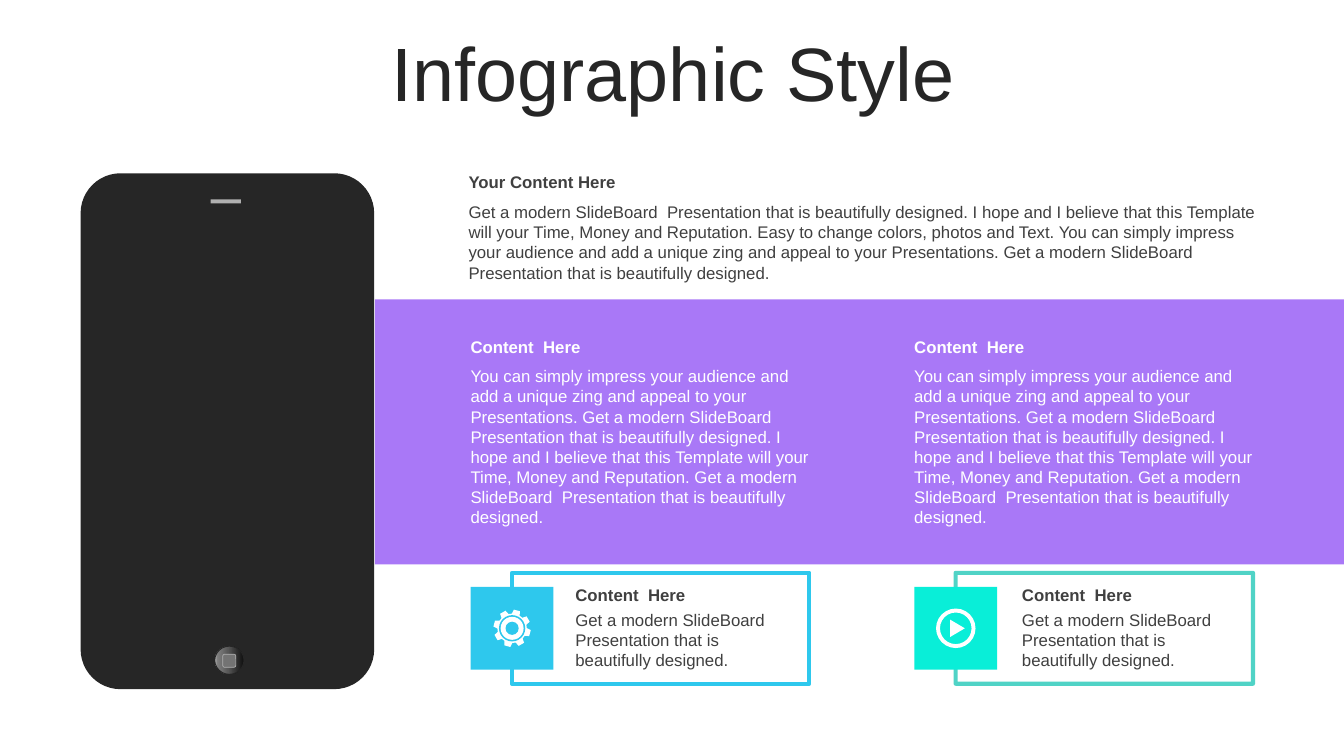
from math import cos, radians, sin
from lxml import etree
from pptx import Presentation
from pptx.dml.color import RGBColor
from pptx.enum.shapes import MSO_SHAPE as Shape
from pptx.enum.text import MSO_ANCHOR as Anchor, MSO_AUTO_SIZE as Fit, PP_ALIGN as Align
from pptx.oxml import parse_xml
from pptx.oxml.ns import nsdecls, qn
from pptx.util import Pt

WHITE, DARK, GRAY = "FFFFFF", "262626", "404040"
BLUE, TEAL = "2EC8ED", "09EED8"
INTRO = ("Get a modern SlideBoard  Presentation that is beautifully designed. "
         "I hope and I believe that this Template will your Time, Money and Reputation. "
         "Easy to change colors, photos and Text. You can simply impress your audience "
         "and add a unique zing and appeal to your Presentations. "
         "Get a modern SlideBoard  Presentation that is beautifully designed.")
PANEL = ("You can simply impress your audience and add a unique zing and appeal to your "
         "Presentations. Get a modern SlideBoard  Presentation that is beautifully designed. "
         "I hope and I believe that this Template will your Time, Money and Reputation. "
         "Get a modern SlideBoard  Presentation that is beautifully designed.")
CARD = "Get a modern SlideBoard  Presentation that is beautifully designed."


def paint(fmt, color, alpha=100):
    """Give a fill a solid colour with an opacity in percent."""
    fmt.solid()
    fmt.fore_color.rgb = RGBColor.from_string(color)
    if alpha < 100:
        clr = fmt._xPr.find(qn("a:solidFill"))[0]
        etree.SubElement(clr, qn("a:alpha")).set("val", str(alpha * 1000))


def style(sp, fill=None, line=None, width=0, alpha=100):
    """Set the fill and outline of a shape, without a shadow."""
    sp.shadow.inherit = False
    if fill:
        paint(sp.fill, fill, alpha)
    else:
        sp.fill.background()
    if line:
        paint(sp.line.fill, line, alpha)
        sp.line.width = Pt(width)
    else:
        sp.line.fill.background()
    return sp


def add(s, kind, x, y, w, h, **look):
    """Add a styled preset shape."""
    return style(s.shapes.add_shape(kind, Pt(x), Pt(y), Pt(w), Pt(h)), **look)


def write(tf, text, size=12, color=GRAY, bold=False, align=Align.LEFT, spacing=1.0):
    """Put one formatted paragraph in a text frame."""
    p = tf.paragraphs[0]
    p.alignment, p.line_spacing, p.space_before = align, spacing, Pt(0)
    r = p.add_run()
    r.text = text
    r.font.name, r.font.size, r.font.bold = "Arial", Pt(size), bold
    r.font.color.rgb = RGBColor.from_string(color)


def text_block(s, x, y, w, body_h, head, body, gap, color=GRAY):
    """Place a bold heading with its body text below."""
    rows = (y, 21.6, head, True), (y + gap, body_h, body, False)
    for top, h, text, bold in rows:
        tf = s.shapes.add_textbox(Pt(x), Pt(top), Pt(w), Pt(h)).text_frame
        tf.word_wrap, tf.auto_size = True, Fit.SHAPE_TO_FIT_TEXT
        write(tf, text, color=color, bold=bold)


def title(s, x, y, w, h, text):
    """Move and fill the title placeholder."""
    sp = s.shapes.title
    sp.left, sp.top, sp.width, sp.height = Pt(x), Pt(y), Pt(w), Pt(h)
    tf = sp.text_frame
    tf.auto_size, tf.vertical_anchor = Fit.NONE, Anchor.MIDDLE
    write(tf, text, size=54, color=DARK, align=Align.CENTER, spacing=0.9)


def phone(s, x, y, w, h):
    """Draw the phone with its speaker and home button."""
    body = add(s, Shape.ROUNDED_RECTANGLE, x, y, w, h, fill=DARK)
    body.adjustments[0] = 0.136
    add(s, Shape.RECTANGLE, x + 92.9, y + 18.7, 21.6, 2.9, fill="B0B0B0")
    button = add(s, Shape.OVAL, x + 95.8, y + 337.7, 20.9, 20.2, line=DARK)
    stops = (0, "0F0F0F"), (56, "595959"), (91, "808080"), (100, "BFBFBF")
    gs = "".join(f'<a:gs pos="{pos * 1000}"><a:srgbClr val="{c}"/></a:gs>' for pos, c in stops)
    grad = parse_xml(f'<a:gradFill {nsdecls("a")}><a:gsLst>{gs}</a:gsLst>'
                     '<a:lin ang="10800000" scaled="0"/></a:gradFill>')
    spPr = button._element.spPr
    spPr.replace(spPr.find(qn("a:noFill")), grad)
    add(s, Shape.ROUNDED_RECTANGLE, x + 101.5, y + 343.5, 9.4, 9.4,
        fill="737373", line="B0B0B0", width=0.5)


def gear(s, cx, cy):
    """Draw an eight-toothed gear around a centre."""
    corners = (-16, 10.5), (-9.5, 13.4), (9.5, 13.4), (16, 10.5)
    pts = [(Pt(cx + r * sin(radians(turn + a))), Pt(cy - r * cos(radians(turn + a))))
           for turn in range(15, 375, 45) for a, r in corners]
    fb = s.shapes.build_freeform(*pts[0])
    fb.add_line_segments(pts[1:], close=True)
    style(fb.convert_to_shape(), fill=WHITE)
    for r, color in (9.4, BLUE), (8.2, WHITE), (4.7, BLUE):
        add(s, Shape.OVAL, cx - r, cy - r, 2 * r, 2 * r, fill=color)


def play(s, cx, cy):
    """Draw a play symbol in a ring around a centre."""
    ring = add(s, Shape.DONUT, cx - 14.1, cy - 14.1, 28.2, 28.2, fill=WHITE)
    ring.adjustments[0] = 0.1
    fb = s.shapes.build_freeform(Pt(cx - 4), Pt(cy - 6.2))
    fb.add_line_segments([(Pt(cx + 6.5), Pt(cy)), (Pt(cx - 4), Pt(cy + 6.2))], close=True)
    style(fb.convert_to_shape(), fill=WHITE)


def card(s, x, y, w, h, icon, fill, line, alpha, inset):
    """Draw a framed card with an icon tile and its text."""
    side = 59.2
    add(s, Shape.RECTANGLE, x + 29.5, y, w - 29.5, h, line=line, width=3, alpha=alpha)
    add(s, Shape.RECTANGLE, x, y + 10, side, side, fill=fill)
    icon(s, x + side / 2, y + 10 + side / 2)
    text_block(s, x + inset, y + 4.8, 164.9, 51.1, "Content  Here", CARD, 18)


def infographic(prs):
    """Build the infographic slide."""
    s = prs.slides.add_slide(prs.slide_layouts[5])
    add(s, Shape.RECTANGLE, 267.8, 213.9, 692.2, 189.2, fill="8540F4", alpha=70)
    phone(s, 57.6, 123.8, 209.7, 368.5)
    title(s, 25.2, 26.6, 911.5, 56.9, "Infographic Style")
    text_block(s, 327.6, 118.8, 583.2, 65.5, "Your Content Here", INTRO, 21.8)
    cards = (gear, BLUE, BLUE, 100, 67.7), (play, TEAL, "07C1AF", 70, 69.8)
    for i, look in enumerate(cards):
        x = 329 + i * 316.9
        text_block(s, x, 236.9, 257.8, 123.8, "Content  Here", PANEL, 20.9, color=WHITE)
        card(s, x + 7.2, 409.2, 241.9, 79.2, *look)


def main():
    """Create and save the presentation."""
    prs = Presentation()
    prs.slide_width, prs.slide_height = Pt(960), Pt(540)
    infographic(prs)
    prs.save("out.pptx")


if __name__ == "__main__":
    main()
